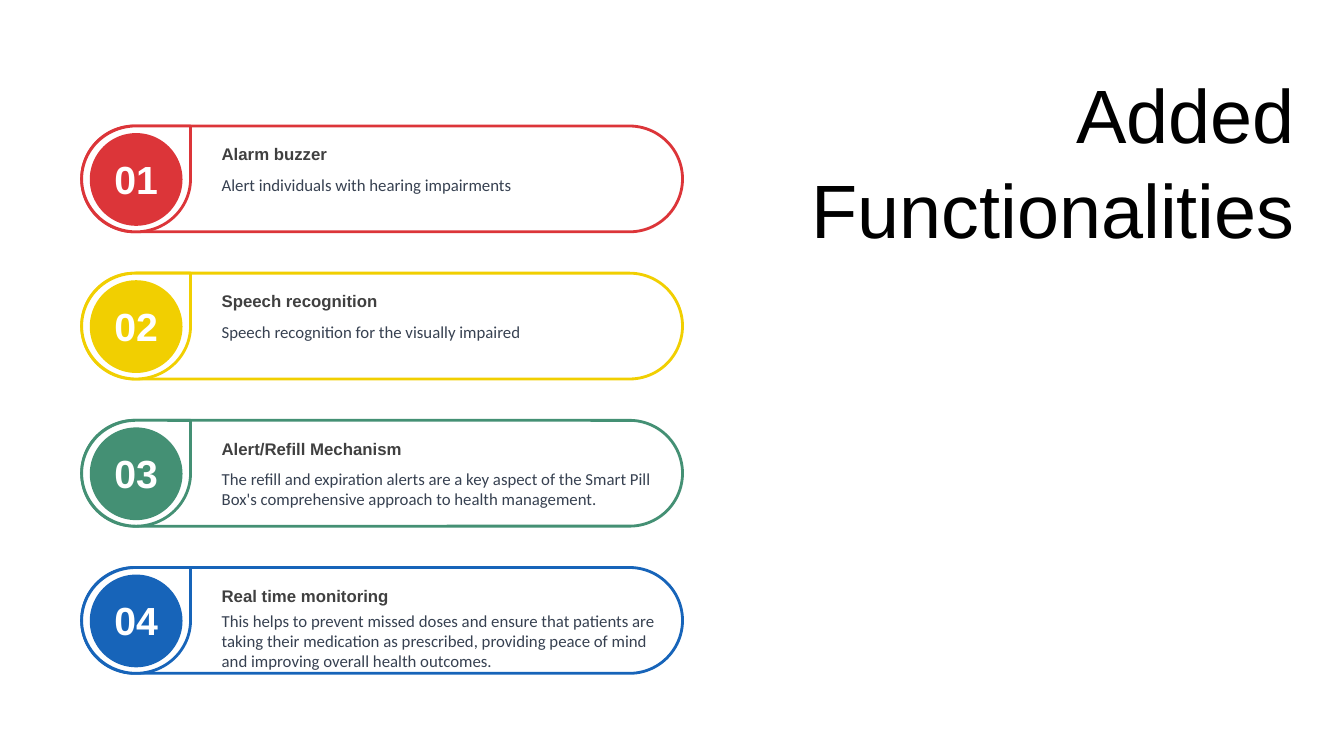
from pptx import Presentation
from pptx.dml.color import RGBColor
from pptx.enum.shapes import MSO_SHAPE
from pptx.enum.text import MSO_ANCHOR, PP_ALIGN
from pptx.util import Pt

PX = 9144  # EMU per px, 100 px to the inch

WHITE = RGBColor(0xFF, 0xFF, 0xFF)
BLACK = RGBColor(0x00, 0x00, 0x00)
GRAY = RGBColor(0x40, 0x40, 0x40)
SLATE = RGBColor(0x37, 0x41, 0x51)
RED = RGBColor(0xDC, 0x35, 0x39)
YELLOW = RGBColor(0xF1, 0xCF, 0x01)
GREEN = RGBColor(0x44, 0x90, 0x74)
BLUE = RGBColor(0x17, 0x64, 0xB9)

LEFT, TOP, PITCH = 81, 125, 146

# Color, heading, body, body offset from the card top, body height
ITEMS = [
    (RED, "Alarm buzzer",
     "Alert individuals with hearing impairments", 43, 30),
    (YELLOW, "Speech recognition",
     "Speech recognition for the visually impaired", 43, 30),
    (GREEN, "Alert/Refill Mechanism",
     "The refill and expiration alerts are a key aspect of the Smart Pill "
     "Box's comprehensive approach to health management.", 43, 50),
    (BLUE, "Real time monitoring",
     "This helps to prevent missed doses and ensure that patients are taking "
     "their medication as prescribed, providing peace of mind and improving "
     "overall health outcomes.", 38, 71),
]


def add_form(slide, kind, x, y, w, h, fill, line=None):
    form = slide.shapes.add_shape(kind, x * PX, y * PX, w * PX, h * PX)
    form.shadow.inherit = False
    form.fill.solid()
    form.fill.fore_color.rgb = fill
    if line is None:
        form.line.fill.background()
    else:
        form.line.color.rgb = line
        form.line.width = Pt(2)
    return form


def add_text(slide, x, y, w, h, text, size, color, font="Arial",
             bold=False, align=PP_ALIGN.LEFT):
    box = slide.shapes.add_textbox(x * PX, y * PX, w * PX, h * PX)
    frame = box.text_frame
    frame.word_wrap = True
    frame.text = text
    para = frame.paragraphs[0]
    para.alignment = align
    style = para.runs[0].font
    style.name = font
    style.size = Pt(size)
    style.bold = bold
    style.color.rgb = color
    return frame


def add_card(slide, num, color, head, body, drop, tall):
    y = TOP + (num - 1) * PITCH

    # Outline and badge
    pill = add_form(slide, MSO_SHAPE.ROUNDED_RECTANGLE,
                    LEFT, y, 596, 105, WHITE, color)
    pill.adjustments[0] = 0.5
    add_form(slide, MSO_SHAPE.TEAR, LEFT, y, 108, 105, WHITE, color)
    add_form(slide, MSO_SHAPE.OVAL, LEFT + 8, y + 7, 92, 92, color)
    add_text(slide, LEFT + 15, y + 24, 78, 57, f"{num:02}", 28, WHITE,
             bold=True, align=PP_ALIGN.CENTER)

    # Heading and body
    add_text(slide, 210, y + 13, 468, 30, head, 12, GRAY, bold=True)
    add_text(slide, 210, y + drop, 468, tall, body, 12, SLATE, "Calibri")


def main():
    deck = Presentation()
    deck.slide_width = 1333 * PX
    deck.slide_height = 750 * PX
    slide = deck.slides.add_slide(deck.slide_layouts[6])

    # Title
    title = add_text(slide, 776, 61, 518, 192, "Added Functionalities",
                     54, BLACK, align=PP_ALIGN.RIGHT)
    title.vertical_anchor = MSO_ANCHOR.MIDDLE
    title.paragraphs[0].line_spacing = 1.05

    # Cards
    for num, item in enumerate(ITEMS, 1):
        add_card(slide, num, *item)

    deck.save("out.pptx")


if __name__ == "__main__":
    main()
